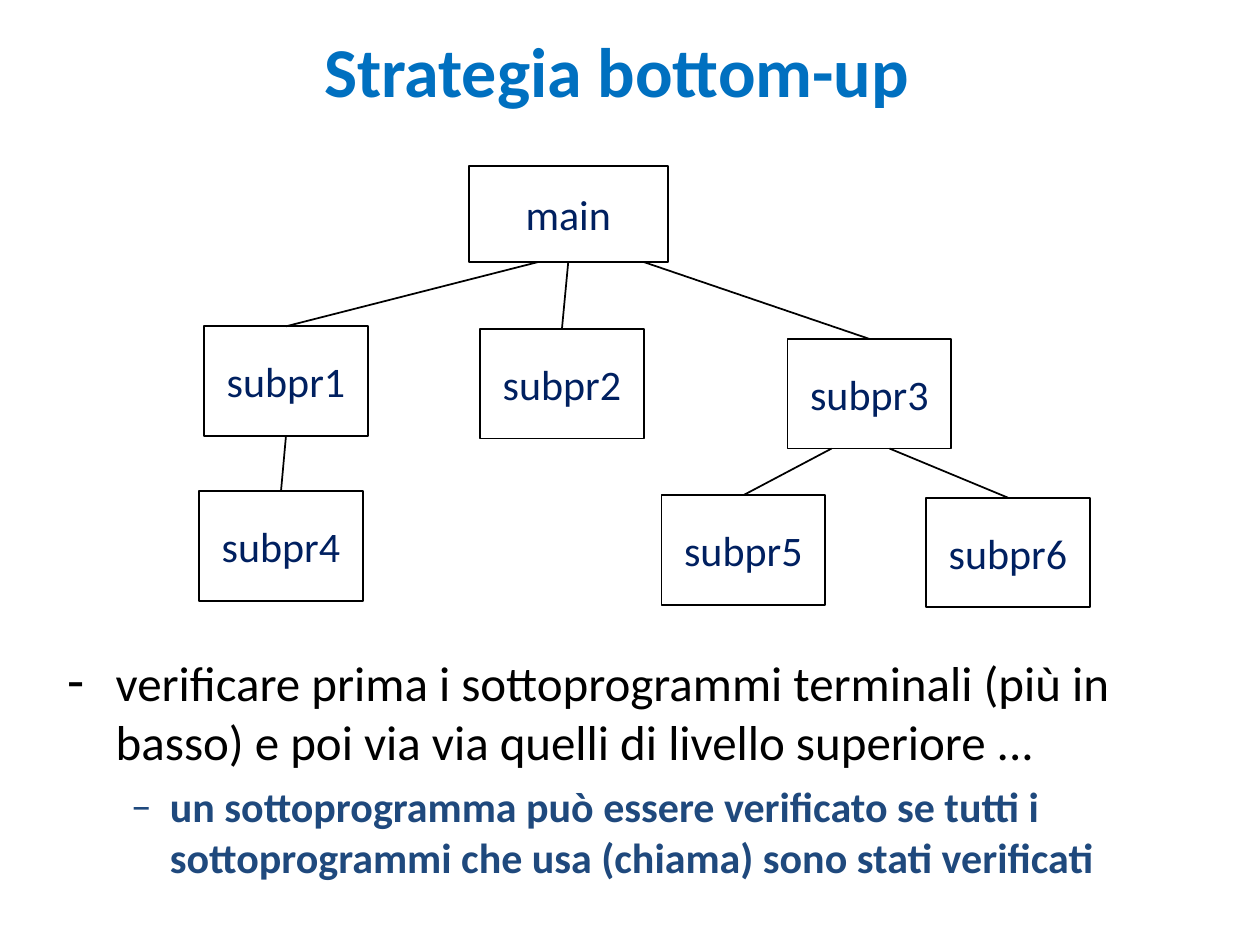
import pptx
import pptx.dml.color
import pptx.enum.shapes
import pptx.enum.text
import pptx.oxml.ns
import pptx.util
from lxml import etree

Inches, Pt = pptx.util.Inches, pptx.util.Pt
RGBColor = pptx.dml.color.RGBColor
PP_ALIGN = pptx.enum.text.PP_ALIGN
MSO_ANCHOR = pptx.enum.text.MSO_ANCHOR
qn = pptx.oxml.ns.qn

BLACK = RGBColor(0x00, 0x00, 0x00)
TITLE_BLUE = RGBColor(0x00, 0x70, 0xC0)
NODE_BLUE = RGBColor(0x00, 0x20, 0x60)
NOTE_BLUE = RGBColor(0x1F, 0x49, 0x7D)
NODE_W, NODE_H = 1.3, 0.87
TOP, BOTTOM = 0, 2

NODES = {
    "main": (3.72, 1.32, 1.58, 0.76),
    "subpr1": (1.62, 2.59, NODE_W, NODE_H),
    "subpr2": (3.81, 2.61, NODE_W, NODE_H),
    "subpr3": (6.25, 2.69, NODE_W, NODE_H),
    "subpr4": (1.58, 3.9, NODE_W, NODE_H),
    "subpr5": (5.25, 3.93, NODE_W, NODE_H),
    "subpr6": (7.35, 3.95, NODE_W, NODE_H),
}
CALLS = [
    ("main", "subpr1", 4.27),
    ("main", "subpr2", None),
    ("main", "subpr3", 5.11),
    ("subpr1", "subpr4", None),
    ("subpr3", "subpr5", 6.6),
    ("subpr3", "subpr6", 7.06),
]
POINTS = [
    dict(text="verificare prima i sottoprogrammi terminali (più in basso) e poi "
              "via via quelli di livello superiore ...",
         size=28, color=BLACK, bold=False, bullet="-", bullet_pct=114,
         margin=0.38, hang=0.38, before=0),
    dict(text="un sottoprogramma può essere verificato se tutti i sottoprogrammi "
              "che usa (chiama) sono stati verificati",
         size=24, color=NOTE_BLUE, bold=True, bullet="–", bullet_pct=100,
         margin=0.81, hang=0.31, before=6),
]


class SlideBuilder:
    """Draws titles, bullet lists, boxes and links on one slide in one style."""

    def __init__(self, slide, font="Calibri", line_width=1):
        self.s = slide
        self.font = font
        self.line_width = Pt(line_width)

    def format(self, p, size, color, bold=False):
        for r in p.runs:
            r.font.name = self.font
            r.font.size = Pt(size)
            r.font.bold = bold
            r.font.color.rgb = color

    def text_box(self, x, y, w, h):
        sp = self.s.shapes.add_textbox(Inches(x), Inches(y), Inches(w), Inches(h))
        sp.text_frame.word_wrap = True
        return sp.text_frame

    def title(self, text, x, y, w, h):
        tf = self.text_box(x, y, w, h)
        tf.vertical_anchor = MSO_ANCHOR.MIDDLE
        tf.text = text
        p = tf.paragraphs[0]
        p.alignment = PP_ALIGN.CENTER
        self.format(p, 40, TITLE_BLUE, bold=True)

    def bullets(self, points, x, y, w, h):
        tf = self.text_box(x, y, w, h)
        for i, point in enumerate(points):
            p = tf.add_paragraph() if i else tf.paragraphs[0]
            p.text = point["text"]
            p.level = i
            p.space_before = Pt(point["before"])
            pPr = p._p.get_or_add_pPr()
            pPr.set("marL", str(Inches(point["margin"])))
            pPr.set("indent", str(-Inches(point["hang"])))
            etree.SubElement(pPr, qn("a:buSzPct")).set("val", str(point["bullet_pct"] * 1000))
            etree.SubElement(pPr, qn("a:buFont")).set("typeface", self.font)
            etree.SubElement(pPr, qn("a:buChar")).set("char", point["bullet"])
            self.format(p, point["size"], point["color"], point["bold"])

    def node(self, text, x, y, w, h):
        sp = self.s.shapes.add_shape(pptx.enum.shapes.MSO_SHAPE.RECTANGLE,
                                     Inches(x), Inches(y), Inches(w), Inches(h))
        sp.shadow.inherit = False
        sp.fill.background()
        sp.line.color.rgb = BLACK
        sp.line.width = self.line_width
        tf = sp.text_frame
        tf.word_wrap = False
        tf.vertical_anchor = MSO_ANCHOR.MIDDLE
        tf.text = text
        p = tf.paragraphs[0]
        p.alignment = PP_ALIGN.CENTER
        self.format(p, 24, NODE_BLUE)
        return sp

    def link(self, parent, child, start_x=None):
        x = parent.left if start_x is None else Inches(start_x)
        cxn = self.s.shapes.add_connector(pptx.enum.shapes.MSO_CONNECTOR.STRAIGHT,
                                          x, parent.top + parent.height,
                                          child.left, child.top)
        if start_x is None:
            cxn.begin_connect(parent, BOTTOM)
        cxn.end_connect(child, TOP)
        cxn.line.color.rgb = BLACK
        cxn.line.width = self.line_width
        etree.SubElement(cxn._element.spPr, qn("a:effectLst"))


def main():
    prs = pptx.Presentation()
    prs.slide_width, prs.slide_height = Inches(10), Inches(7.5)
    slide = SlideBuilder(prs.slides.add_slide(prs.slide_layouts[6]))
    slide.title("Strategia bottom-up", 2.03, 0.12, 5.73, 0.87)
    slide.bullets(POINTS, 0.44, 5.13, 8.89, 1.91)
    nodes = {name: slide.node(name, *box) for name, box in NODES.items()}
    for parent, child, start_x in CALLS:
        slide.link(nodes[parent], nodes[child], start_x)
    prs.save("out.pptx")


if __name__ == "__main__":
    main()
